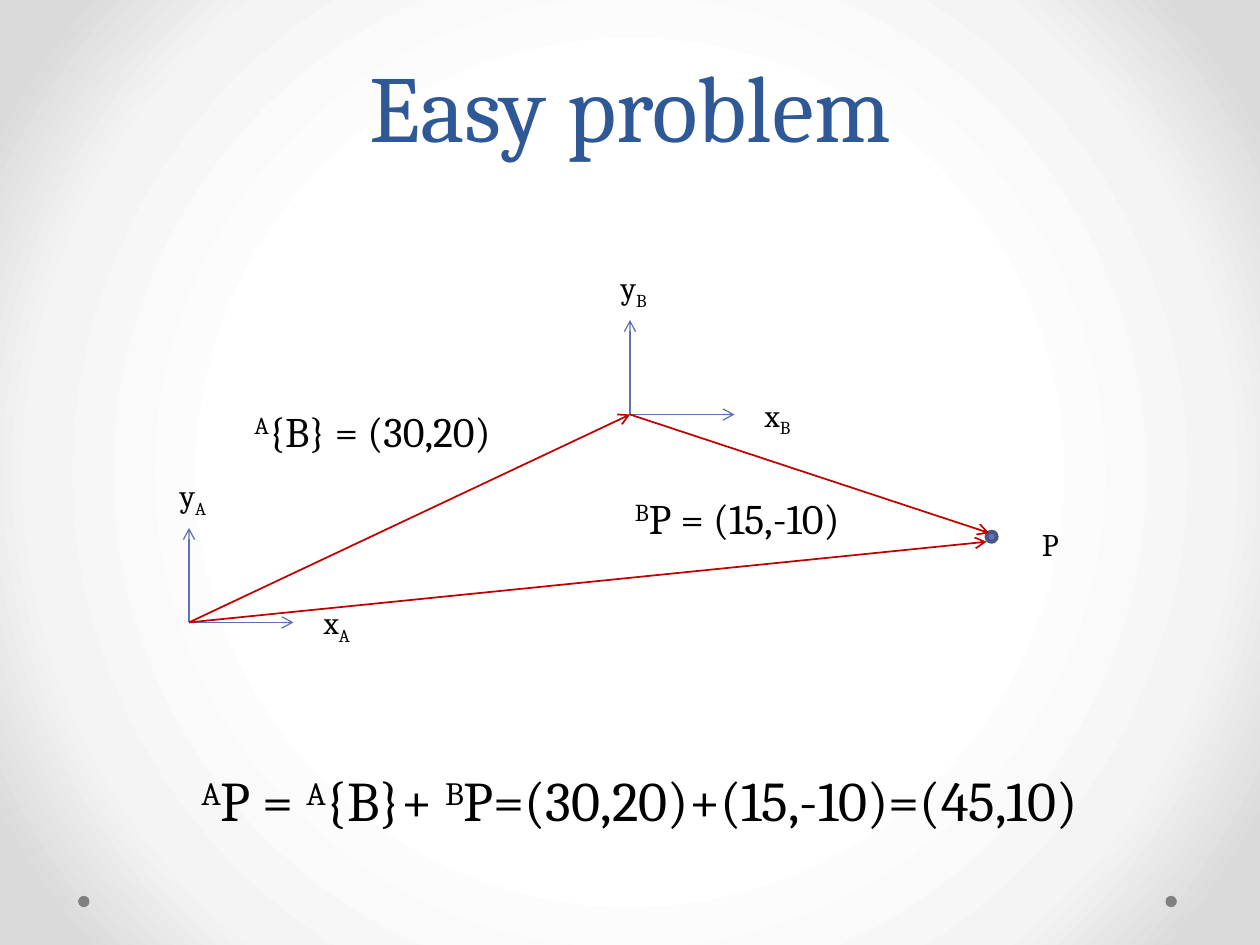
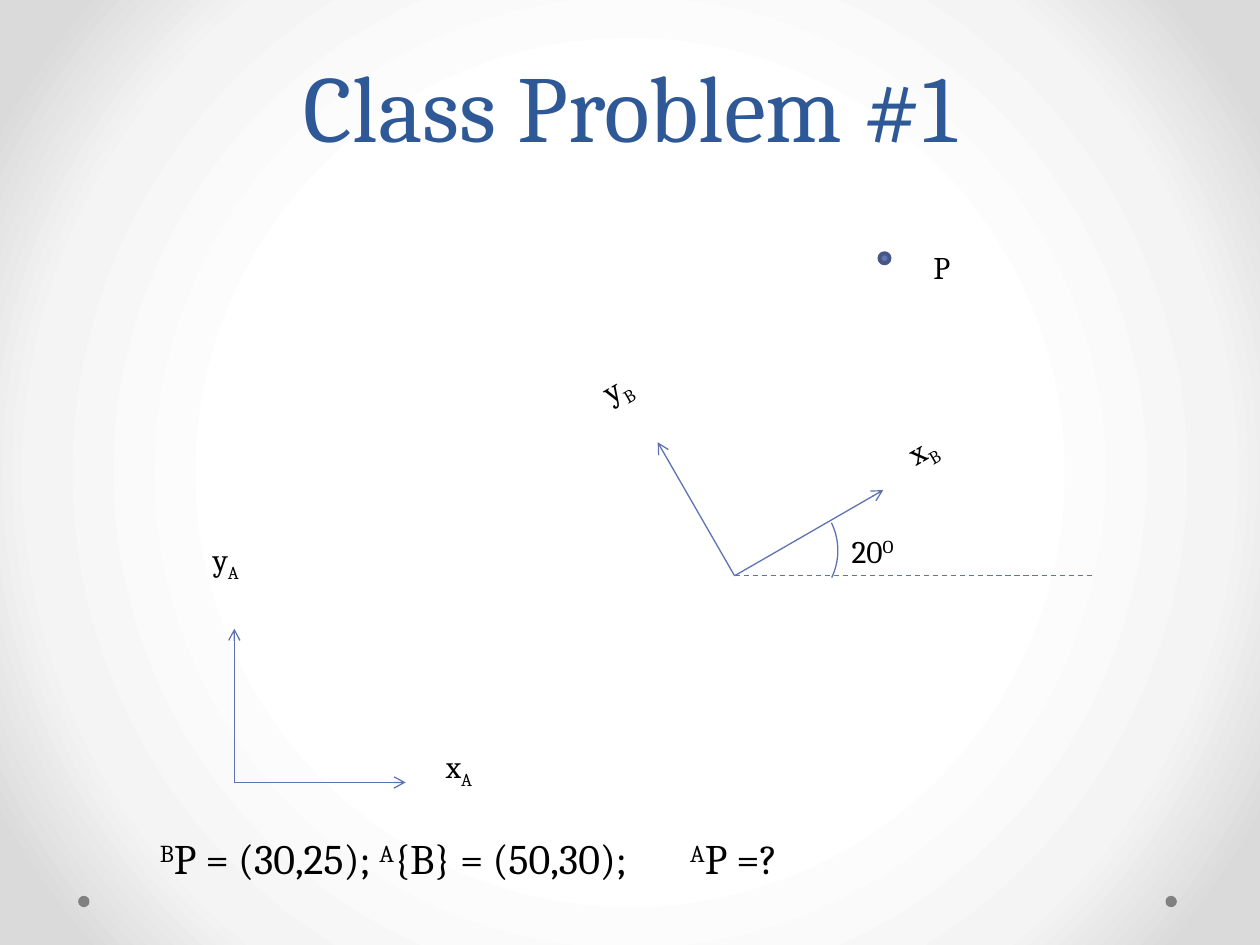
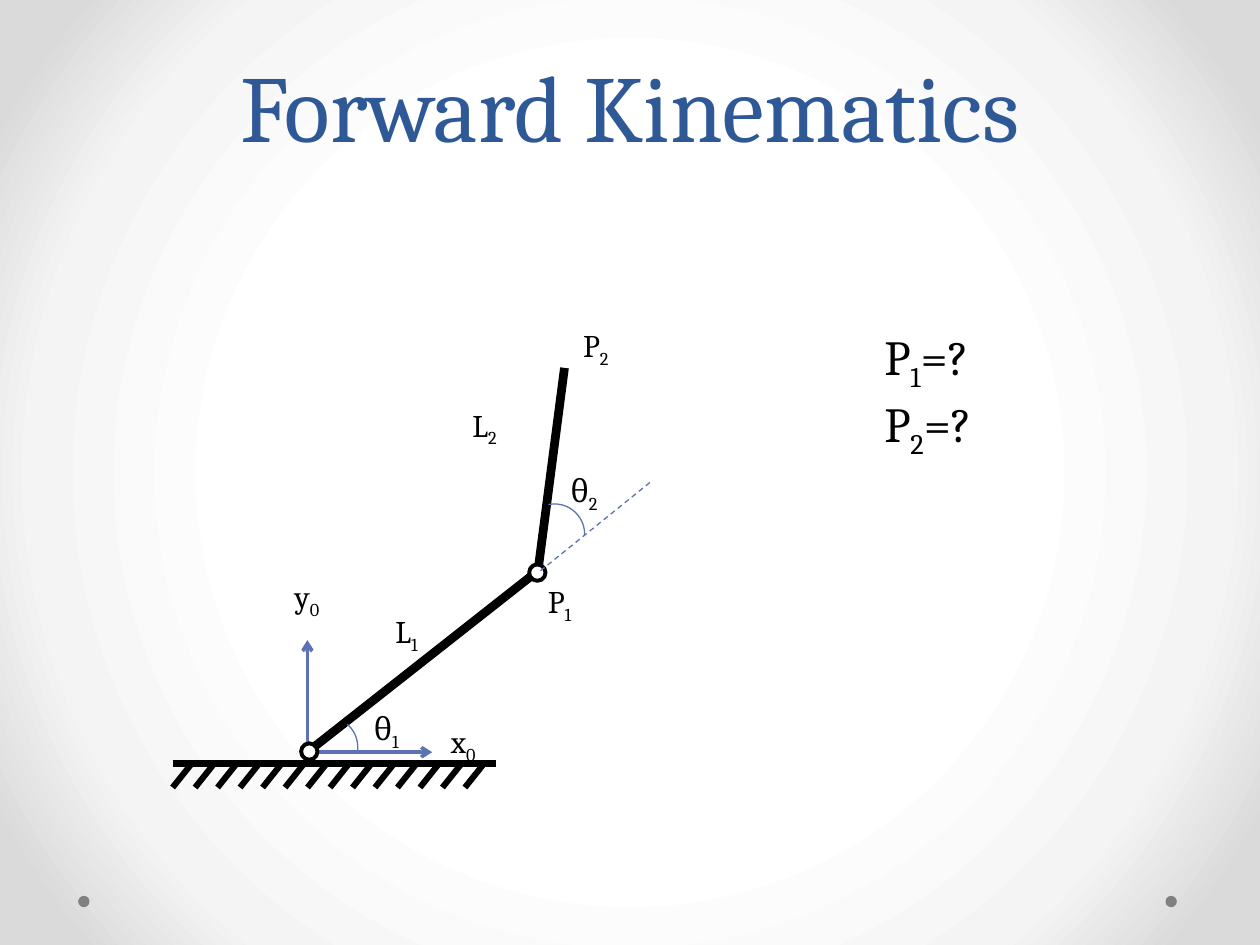
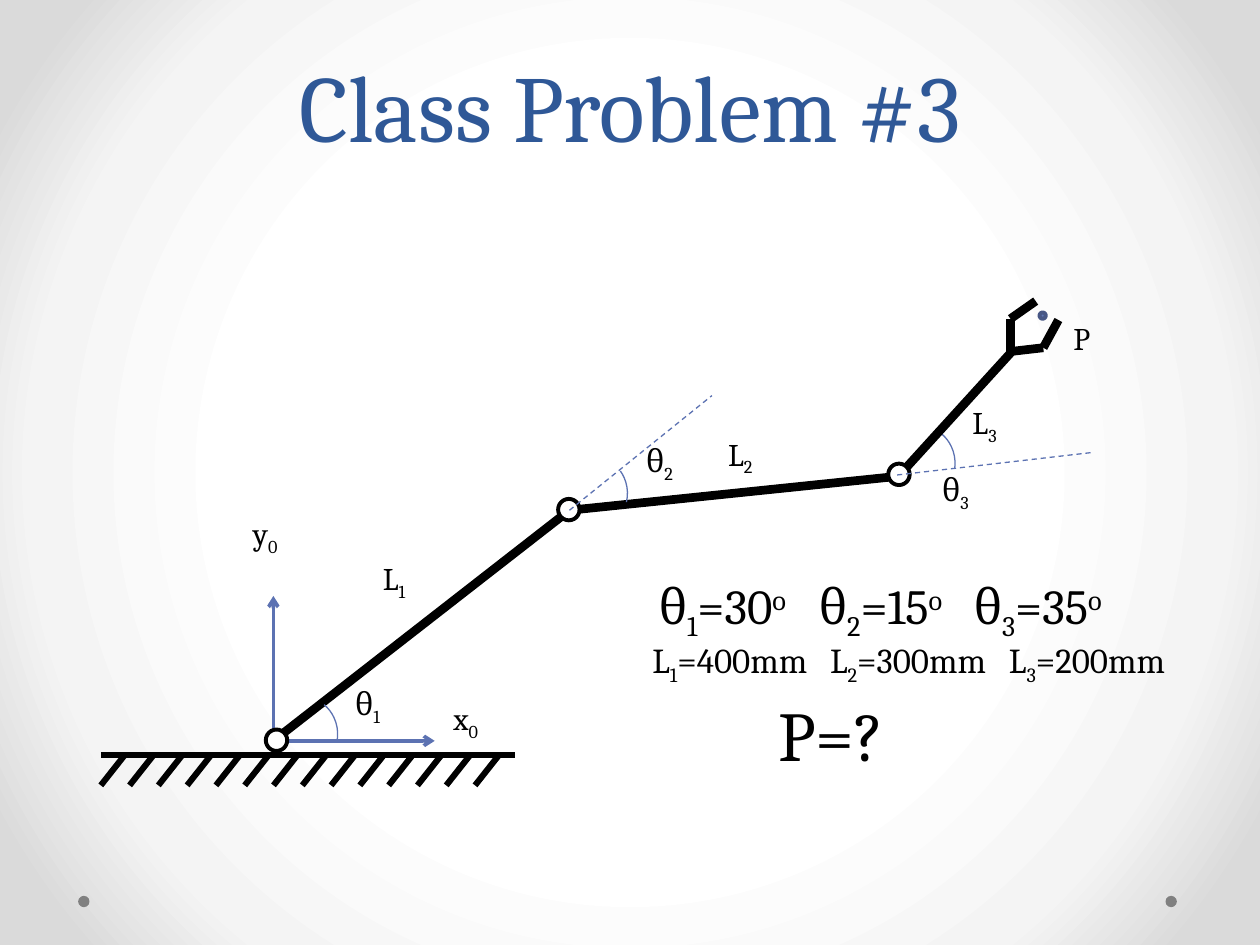
"""Build four slides on coordinate frames and forward kinematics."""
import lxml.etree
import pptx
import pptx.dml.color
import pptx.enum.dml
import pptx.enum.shapes
import pptx.enum.text
import pptx.oxml.ns
import pptx.util

COLORS = {
    "title": "2F5897", "text": "000000", "axis": "5C72B2", "vector": "C00000",
    "point": "6076B4", "point_edge": "475785", "joint": "FFFFFF",
    "link": "000000", "dot": "808080",
}
BACKGROUND = ((50, "FFFFFF"), (76, "F4F4F4"), (92, "DADADA"))
FONT = "Cambria"
SHIFT = {"^": 30000, "_": -25000}
SHAPE = pptx.enum.shapes.MSO_SHAPE
TITLE_ONLY = 5


def cm(*inches):
    """Turn inches on the 10 by 7.5 grid into Cm lengths."""
    return [pptx.util.Cm(2.54 * v) for v in inches]


def rgb(name):
    """Return the palette colour as an RGBColor."""
    return pptx.dml.color.RGBColor.from_string(COLORS[name])


def sub(parent, tag, **attrs):
    """Append a DrawingML child element."""
    return lxml.etree.SubElement(parent, pptx.oxml.ns.qn(tag), attrs)


def set_attrs(obj, values):
    """Set every attribute named in a dict."""
    for name, value in values.items():
        setattr(obj, name, value)


def format_font(font, size, color="text"):
    """Apply the deck font, a size and a colour."""
    set_attrs(font, {"name": FONT, "size": pptx.util.Pt(size)})
    font.color.rgb = rgb(color)


def split_runs(text):
    """Split text into runs; ^ raises and _ lowers the next character."""
    runs, shift = [], 0
    for ch in text:
        if ch in SHIFT:
            shift = SHIFT[ch]
            continue
        if runs and shift == runs[-1][1] == 0:
            runs[-1][0] += ch
        else:
            runs.append([ch, shift])
        shift = 0
    return runs


def add_text(shapes, at, text, size=18, rotation=0, wrap=True, tabs=()):
    """Add a text box with one paragraph per line of text."""
    sp = shapes.add_textbox(*cm(*at))
    sp.rotation = rotation
    tf = sp.text_frame
    set_attrs(tf, {"word_wrap": wrap,
                   "auto_size": pptx.enum.text.MSO_AUTO_SIZE.SHAPE_TO_FIT_TEXT})
    for i, line in enumerate(text.split("\n")):
        p = tf.add_paragraph() if i else tf.paragraphs[0]
        if tabs:
            tab_list = sub(p._p.get_or_add_pPr(), "a:tabLst")
            for stop in cm(*tabs):
                sub(tab_list, "a:tab", pos=str(int(stop)), algn="l")
        for content, shift in split_runs(line):
            r = p.add_run()
            r.text = content
            format_font(r.font, size)
            if shift:
                r._r.get_or_add_rPr().set("baseline", str(shift))
    return sp


def add_labels(shapes, labels):
    """Add 18 pt labels from a dict of text to box."""
    for text, at in labels.items():
        add_text(shapes, at, text)


def add_line(shapes, start, end, color="axis", width=0.75, arrow=False, dash=False):
    """Add a straight line, optionally dashed or with an arrowhead."""
    c = shapes.add_connector(pptx.enum.shapes.MSO_CONNECTOR.STRAIGHT,
                             *cm(*start, *end))
    c.line.width = pptx.util.Pt(width)
    c.line.color.rgb = rgb(color)
    if dash:
        c.line.dash_style = pptx.enum.dml.MSO_LINE.DASH
    if arrow:
        sub(c.line._get_or_add_ln(), "a:tailEnd", type="arrow")
    sub(c._element.spPr, "a:effectLst")


def add_vector(shapes, start, end):
    """Add a red position vector."""
    add_line(shapes, start, end, "vector", 1, arrow=True)


def add_link(shapes, *points):
    """Add thick arm segments through the points."""
    for start, end in zip(points, points[1:]):
        add_line(shapes, start, end, "link", 5)


def add_axes(shapes, origin, y_tip, x_tip, width=0.75):
    """Add the two arrows of a coordinate frame."""
    for tip in (y_tip, x_tip):
        add_line(shapes, origin, tip, width=width, arrow=True)


def add_oval(shapes, left, top, size, fill, edge=None):
    """Add a circle with an optional edge."""
    sp = shapes.add_shape(SHAPE.OVAL, *cm(left, top, size, size))
    sp.shadow.inherit = False
    sp.fill.solid()
    sp.fill.fore_color.rgb = rgb(fill)
    if edge:
        sp.line.color.rgb = rgb(edge)
        sp.line.width = pptx.util.Pt(2.25)
    else:
        sp.line.fill.background()
    return sp


def add_point(shapes, left, top, size=0.08):
    """Add the blue target point."""
    return add_oval(shapes, left, top, size, "point", "point_edge")


def add_joints(shapes, size, *corners):
    """Add white arm joints."""
    for left, top in corners:
        add_oval(shapes, left, top, size, "joint", "link")


def add_arc(shapes, left, top, size, rotation, start=165.56, end=200.3):
    """Add an angle arc."""
    sp = shapes.add_shape(SHAPE.ARC, *cm(left, top, size, size))
    sp.shadow.inherit = False
    sp.rotation = rotation
    sp.adjustments[0], sp.adjustments[1] = start, end
    sp.fill.background()
    sp.line.color.rgb = rgb("axis")
    sp.line.width = pptx.util.Pt(0.75)


def add_ground(shapes, left, right, y):
    """Add a ground line with 14 hatches scaled to its width."""
    width = right - left
    add_line(shapes, (left, y), (right, y), "link", 3.5)
    for i in range(14):
        x = left + i * width / 14.4
        add_line(shapes, (x, y + 0.074 * width), (x + 0.056 * width, y + 0.01),
                 "link", 3.5)


def add_slide(prs, title):
    """Add a titled slide and return its shapes."""
    shapes = prs.slides.add_slide(prs.slide_layouts[TITLE_ONLY]).shapes
    sp = shapes.title
    set_attrs(sp, dict(zip(("left", "top", "width", "height"), cm(0.5, 0, 9, 1.75))))
    tf = sp.text_frame
    tf.text = title
    set_attrs(tf, {"vertical_anchor": pptx.enum.text.MSO_ANCHOR.MIDDLE,
                   "auto_size": pptx.enum.text.MSO_AUTO_SIZE.NONE})
    p = tf.paragraphs[0]
    set_attrs(p, {"alignment": pptx.enum.text.PP_ALIGN.CENTER,
                  "line_spacing": pptx.util.Pt(58)})
    format_font(p.runs[0].font, 54, "title")
    return shapes


def style_master(prs, shapes):
    """Give the master its radial background and two corner dots."""
    master = prs.slide_master
    master.background.fill.solid()
    bg = master._element.find(".//" + pptx.oxml.ns.qn("p:bgPr"))
    bg.remove(bg[0])
    grad = sub(bg, "a:gradFill", rotWithShape="1")
    bg.insert(0, grad)
    stops = sub(grad, "a:gsLst")
    for pos, color in BACKGROUND:
        sub(sub(stops, "a:gs", pos=str(pos * 1000)), "a:srgbClr", val=color)
    sub(sub(grad, "a:path", path="circle"), "a:fillToRect",
        **dict.fromkeys("ltrb", "50000"))
    for left in (9.25, 0.62):
        dot = add_oval(shapes, left, 7.11, 0.09, "dot")
        master.shapes._spTree.append(dot._element)


def build_easy_problem(shapes):
    """Draw two parallel frames and the vectors to P."""
    a, b = (1.5, 4.94), (5, 3.29)
    for name, (x, y) in {"A": a, "B": b}.items():
        add_axes(shapes, (x, y), (x, y - 0.75), (x + 0.83, y))
        add_labels(shapes, {"y_" + name: (x - 0.17, y - 1.21, 0.58, 0.42),
                            "x_" + name: (x + 0.97, y - 0.2, 0.75, 0.4)})
    add_point(shapes, 7.83, 4.22)
    add_labels(shapes, {"P": (8.17, 4.12, 0.42, 0.4)})
    add_text(shapes, (1.92, 3.17, 8.33, 0.5), "^A{B} = (30,20)", 24)
    add_text(shapes, (4.94, 3.86, 8.33, 0.5), "^BP = (15,-10)", 24)
    add_text(shapes, (1.5, 6.03, 8.33, 0.64),
             "^AP = ^A{B}+ ^BP=(30,20)+(15,-10)=(45,10)", 32)
    add_vector(shapes, a, b)
    add_vector(shapes, b, (7.85, 4.23))
    add_vector(shapes, a, (7.83, 4.3))


def build_rotated_frame(shapes):
    """Draw a fixed frame, a rotated frame and the point P."""
    add_axes(shapes, (1.86, 6.21), (1.86, 4.99), (3.22, 6.21))
    add_labels(shapes, {"y_A": (1.59, 4.24, 0.95, 0.68),
                        "x_A": (3.44, 5.88, 1.22, 0.66)})
    b = (5.83, 4.57)
    frame = shapes.add_group_shape().shapes
    add_axes(frame, b, (5.22, 3.51), (7.01, 3.89))
    add_text(frame, (4.72, 2.72, 0.95, 0.68), "y_B", rotation=330)
    add_text(frame, (7.12, 3.14, 1.22, 0.66), "x_B", rotation=330)
    add_point(shapes, 6.98, 2.01)
    add_labels(shapes, {"P": (7.31, 1.92, 0.42, 0.4)})
    add_line(shapes, b, (8.67, 4.57), dash=True)
    add_arc(shapes, 5.65, 3.87, 1, 55.6, 166.94, 197.9)
    add_text(shapes, (6.66, 4.17, 0.59, 0.4), "20^O", wrap=False)
    add_text(shapes, (1.17, 6.56, 8.33, 0.5),
             "^BP = (30,25); ^A{B} = (50,30);\t^AP =?", 24, tabs=(4.21,))


def build_two_link_arm(shapes):
    """Draw the two-link arm."""
    base, elbow = (2.44, 5.97), (4.27, 4.53)
    add_link(shapes, elbow, (4.48, 2.92))
    add_axes(shapes, base, (2.44, 5.08), (3.43, 5.97), 2)
    add_arc(shapes, 4.16, 4, 0.48, 35.5, 133.88, 195.4)
    add_link(shapes, base, elbow)
    add_joints(shapes, 0.13, (4.2, 4.48), (2.39, 5.9))
    add_ground(shapes, 1.37, 3.94, 6.06)
    add_arc(shapes, 2.36, 5.69, 0.48, 34.6)
    add_line(shapes, (4.29, 4.53), (5.17, 3.82), dash=True)
    add_labels(shapes, {
        "y_0": (2.24, 4.53, 0.7, 0.3), "x_0": (3.48, 5.68, 0.9, 0.3),
        "L_1": (3.04, 4.81, 0.64, 0.4), "L_2": (3.65, 3.17, 0.57, 0.4),
        "θ_1": (2.87, 5.58, 0.47, 0.3), "θ_2": (4.43, 3.69, 0.47, 0.3),
        "P_1": (4.25, 4.57, 0.64, 0.4), "P_2": (4.53, 2.54, 0.64, 0.4),
    })
    add_text(shapes, (6.92, 2.54, 2.08, 1.04), "P_1=?\nP_2=?", 28)


def build_three_link_arm(shapes):
    """Draw the three-link arm with its gripper and given values."""
    base, elbow, wrist = (2.17, 5.88), (4.52, 4.05), (7.13, 3.78)
    add_link(shapes, elbow, wrist)
    add_point(shapes, 8.25, 2.48, 0.05).rotation = 16.6
    add_arc(shapes, 6.97, 3.37, 0.61, 34.6)
    add_axes(shapes, base, (2.17, 4.73), (3.45, 5.88), 2)
    add_arc(shapes, 4.37, 3.61, 0.61, 35.5, 173.42, 202.7)
    add_link(shapes, base, elbow)
    add_link(shapes, wrist, (8.04, 2.78))
    add_link(shapes, (8.02, 2.79), (8.28, 2.76), (8.4, 2.54))
    finger = shapes.add_group_shape().shapes
    add_link(finger, (8.02, 2.81), (8.02, 2.53), (8.22, 2.39))
    add_joints(shapes, 0.17, (7.05, 3.68), (4.43, 3.96), (2.11, 5.79))
    add_ground(shapes, 0.8, 4.09, 5.99)
    add_arc(shapes, 2.07, 5.52, 0.61, 34.6)
    add_line(shapes, elbow, (5.65, 3.14), dash=True)
    add_line(shapes, (7.12, 3.77), (8.68, 3.59), dash=True)
    add_labels(shapes, {
        "P": (8.42, 2.48, 0.25, 0.25),
        "y_0": (1.91, 4.03, 0.9, 0.38), "x_0": (3.5, 5.5, 1.15, 0.38),
        "L_1": (2.94, 4.39, 0.82, 0.52), "L_2": (5.68, 3.4, 0.73, 0.52),
        "L_3": (7.62, 3.15, 0.93, 0.52), "θ_1": (2.72, 5.38, 0.6, 0.38),
        "θ_2": (5.03, 3.45, 0.6, 0.38), "θ_3": (7.38, 3.68, 0.6, 0.38),
    })
    add_text(shapes, (6.08, 5.44, 1.5, 0.77), "P=?", 40)
    add_text(shapes, (5.13, 4.52, 4.45, 0.57),
             "θ_1=30^o\tθ_2=15^o\tθ_3=35^o", 28, tabs=(1.27, 2.5))
    add_text(shapes, (5.08, 5.02, 4.67, 0.44),
             "L_1=400mm\tL_2=300mm\tL_3=200mm", 20, tabs=(1.41, 2.83))


def main():
    """Build and save the deck."""
    prs = pptx.Presentation()
    prs.slide_width, prs.slide_height = cm(10, 7.5)
    shapes = add_slide(prs, "Easy problem")
    style_master(prs, shapes)
    build_easy_problem(shapes)
    build_rotated_frame(add_slide(prs, "Class Problem #1"))
    build_two_link_arm(add_slide(prs, "Forward Kinematics"))
    build_three_link_arm(add_slide(prs, "Class Problem #3"))
    prs.save("out.pptx")


if __name__ == "__main__":
    main()
